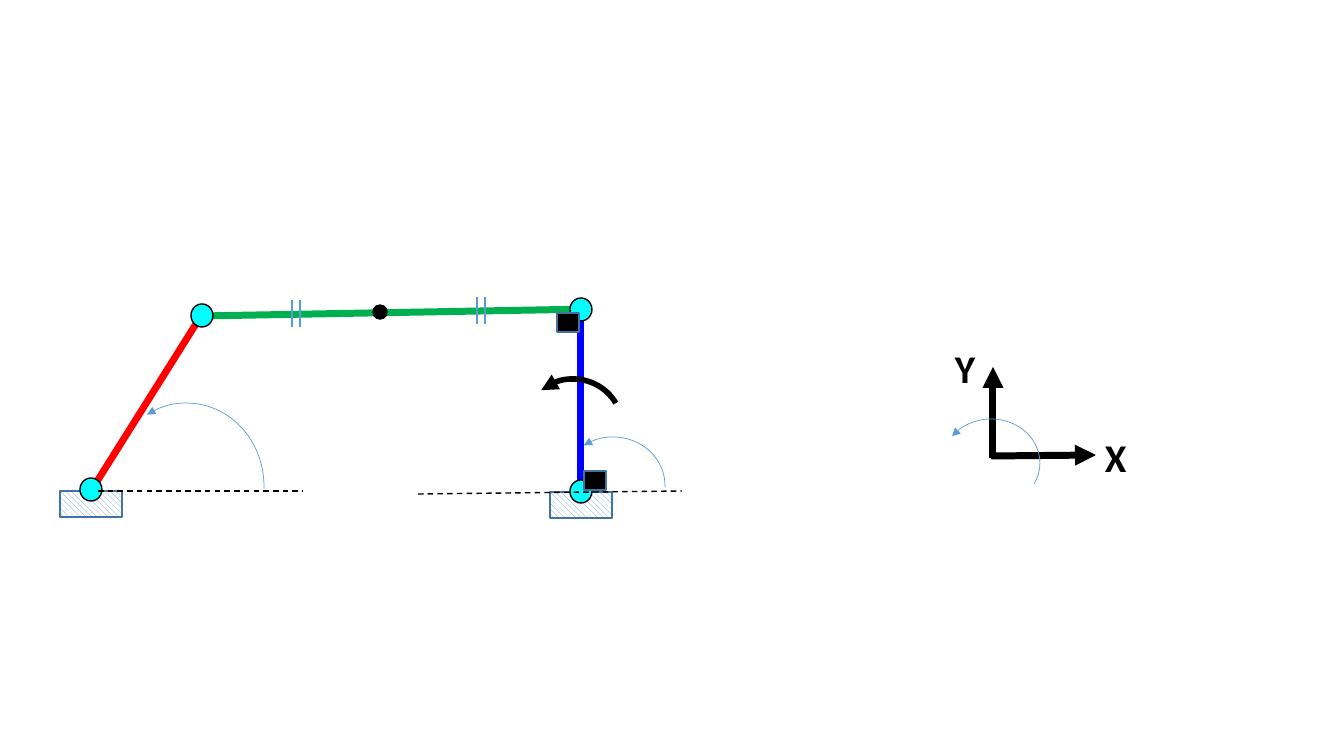
"""Build a slide showing a four-bar linkage with its angles and coordinate axes."""
from lxml import etree
from pptx import Presentation
from pptx.dml.color import RGBColor
from pptx.enum.dml import MSO_LINE, MSO_PATTERN
from pptx.enum.shapes import MSO_CONNECTOR, MSO_SHAPE
from pptx.enum.text import MSO_AUTO_SIZE
from pptx.oxml.ns import qn
from pptx.util import Pt

STRAIGHT = MSO_CONNECTOR.STRAIGHT
RECTANGLE, OVAL, ARC = MSO_SHAPE.RECTANGLE, MSO_SHAPE.OVAL, MSO_SHAPE.ARC
HATCH = MSO_PATTERN.WIDE_DOWNWARD_DIAGONAL
DASH = MSO_LINE.DASH
FIT = MSO_AUTO_SIZE.SHAPE_TO_FIT_TEXT
BLACK, WHITE, BLUE, EDGE, CYAN = "000000", "FFFFFF", "5B9BD5", "43739E", "00FFFF"
PX = 914400 / 100.8
color = RGBColor.from_string

deck = Presentation()
deck.slide_width, deck.slide_height = round(1344 * PX), round(756 * PX)
page = deck.slides.add_slide(deck.slide_layouts[6])


def draw(kind, *numbers, fill=None, line=BLACK, width=1, dash=None, arrow=None):
    """Add a connector from two points, or a preset shape from its frame."""
    lengths = [round(number * PX) for number in numbers]
    if kind is STRAIGHT:
        item = page.shapes.add_connector(kind, *lengths)
        etree.SubElement(item._element.spPr, qn("a:effectLst"))
    else:
        item = page.shapes.add_shape(kind, *lengths)
        item.shadow.inherit = False
        if fill:
            item.fill.solid()
            item.fill.fore_color.rgb = color(fill)
        else:
            item.fill.background()
    item.line.color.rgb = color(line)
    item.line.width = Pt(width)
    if dash:
        item.line.dash_style = dash
    if arrow:
        outline = item._element.spPr.find(qn("a:ln"))
        etree.SubElement(outline, qn(f"a:{arrow}End"), type="triangle")
    return item


def add_label(text, left, top, width=42, height=57, size=28, font="Calibri", ink=BLACK):
    """Add a bold one-line label."""
    box = page.shapes.add_textbox(*[round(n * PX) for n in (left, top, width, height)])
    frame = box.text_frame
    frame.word_wrap = False
    frame.auto_size = FIT
    span = frame.paragraphs[0].add_run()
    span.text = text
    span.font.name = font
    span.font.size = Pt(size)
    span.font.bold = True
    span.font.color.rgb = color(ink)


for left, top in [(60, 491), (550, 492)]:
    support = draw(RECTANGLE, left, top, 62, 26, line=EDGE)
    support.fill.patterned()
    support.fill.pattern = HATCH
    support.fill.fore_color.rgb = color(BLUE)
    support.fill.back_color.rgb = color(WHITE)

links = [
    (91, 491, 201, 316, "FF0000"),
    (202, 316, 592, 309, "00B050"),
    (581, 492, 581, 311, "0000FF"),
]
for *ends, ink in links:
    draw(STRAIGHT, *ends, line=ink, width=5)

for left, top in [(570, 298), (570, 480), (191, 304), (80, 478)]:
    draw(OVAL, left, top, 22, 23, fill=CYAN)

for ends in [(98, 491, 303, 491), (418, 494, 682, 491)]:
    draw(STRAIGHT, *ends, dash=DASH)

for left, top in [(584, 471), (557, 313)]:
    draw(RECTANGLE, left, top, 22, 19, fill=BLACK, line=EDGE)

draw(OVAL, 373, 305, 14, 14, fill=BLACK)

for left, top in [(292, 300), (477, 297)]:
    for x in (left, left + 8):
        draw(STRAIGHT, x, top, x, top + 27, line=BLUE, width=2)

for ends in [(991, 456, 1096, 455), (993, 458, 993, 367)]:
    draw(STRAIGHT, *ends, width=5, arrow="tail")

add_label("X", 1095, 428)
add_label("Y", 945, 339)

turns = [
    ((109, 403, 155, 166), (144.66, 1.21), BLUE, 0.5),
    ((524, 379, 98, 94), (137.04, 199.17), BLACK, 4),
    ((942, 419, 98, 88), (128.64, 15.41), BLUE, 0.5),
    ((561, 437, 104, 97), (140.38, 1.21), BLUE, 0.5),
]
for place, (start, end), ink, width in turns:
    turn = draw(ARC, *place, line=ink, width=width, arrow="head")
    turn.adjustments[0] = start
    turn.adjustments[1] = end

deck.save("out.pptx")
